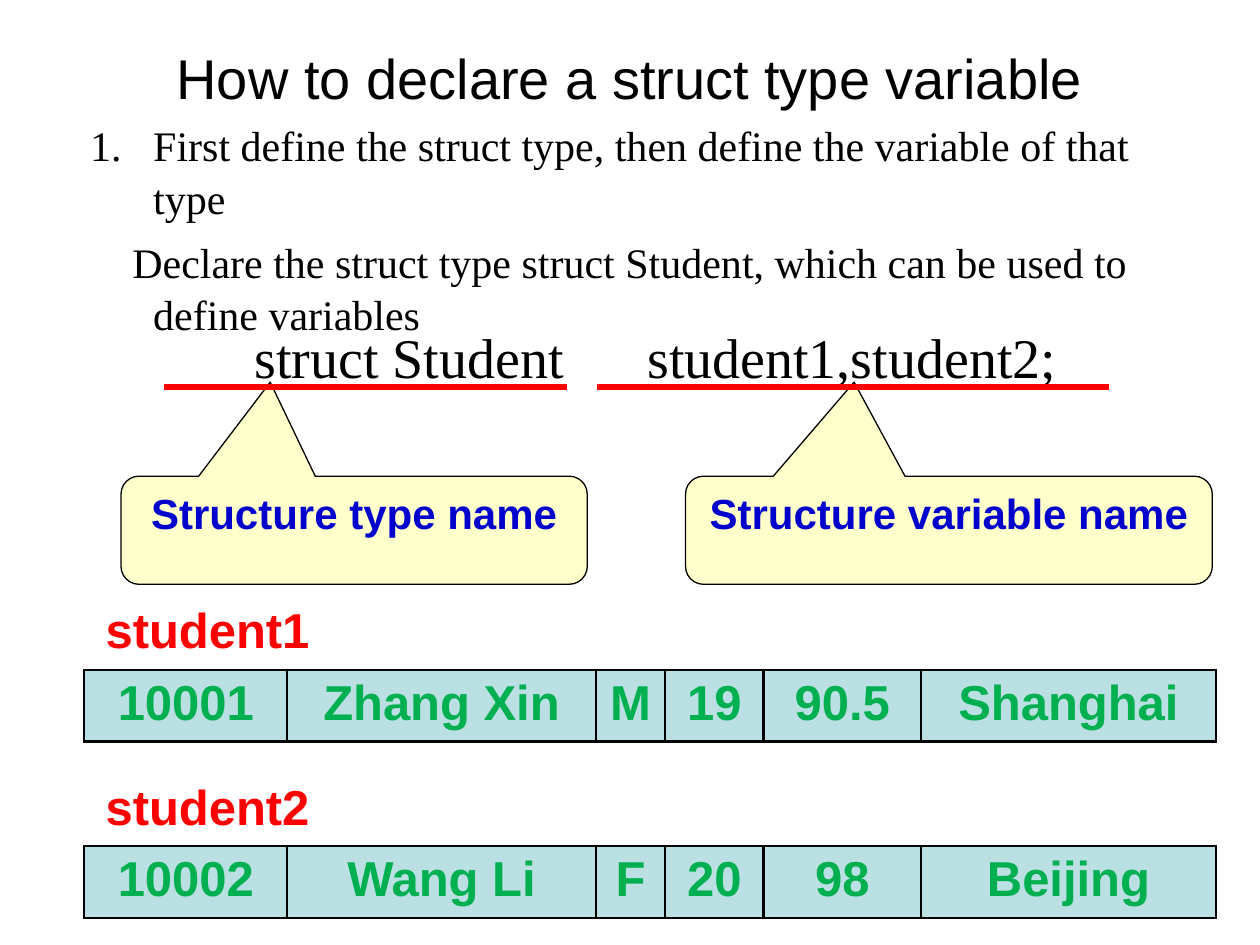
from lxml import etree
from pptx import Presentation
from pptx.dml.color import RGBColor
from pptx.enum.shapes import MSO_CONNECTOR, MSO_SHAPE
from pptx.enum.text import MSO_ANCHOR, MSO_AUTO_SIZE, PP_ALIGN
from pptx.oxml.ns import qn
from pptx.util import Cm, Pt

BLACK = RGBColor(0x00, 0x00, 0x00)
RED = RGBColor(0xFF, 0x00, 0x00)
BLUE = RGBColor(0x00, 0x00, 0xCC)
GREEN = RGBColor(0x00, 0xB0, 0x50)
CREAM = RGBColor(0xFF, 0xFF, 0xCC)
PALE_TEAL = RGBColor(0xBB, 0xE0, 0xE3)
SANS, SERIF = "Arial", "Times New Roman"

# Content; all lengths in centimetres
TITLE = "How to declare a struct type variable"
# (text, first-line indent, numbered)
STEPS = [
    ("First define the struct type, then define the variable of that type", -1.27, True),
    ("Declare the struct type struct Student, which can be used to define variables", -0.42, False),
]
DECLARATION = "struct Student\tstudent1,student2;"
# (text, left, width)
CALLOUTS = [("Structure type name", 2.44, 9.4), ("Structure variable name", 13.82, 10.62)]
# (start, end)
UNDERLINES = [(3.3, 11.43), (12.04, 22.35)]
# (variable, label top, member values)
RECORDS = [
    ("student1", 11.91, ["10001", "Zhang Xin", "M", "19", "90.5", "Shanghai"]),
    ("student2", 15.47, ["10002", "Wang Li", "F", "20", "98", "Beijing"]),
]
COLUMN_WIDTHS = [4.09, 6.22, 1.4, 1.98, 3.18, 5.94]
ROW_HEIGHT = 1.45
LABEL_TO_TABLE = 1.59


def style(paragraph, size, name, color, bold=False):
    font = paragraph.font
    font.size, font.name, font.bold = Pt(size), name, bold
    font.color.rgb = color


def add_text(slide, box, texts, size, name, color, bold=False, space_before=0):
    shape = slide.shapes.add_textbox(*map(Cm, box))
    frame = shape.text_frame
    frame.word_wrap = True
    frame.text = "\n".join(texts)
    for paragraph in frame.paragraphs:
        style(paragraph, size, name, color, bold)
        paragraph.space_before = Pt(space_before)
        paragraph.line_spacing = 1.05
    return frame.paragraphs


def add_callout(slide, text, left, width):
    shape = slide.shapes.add_shape(
        MSO_SHAPE.ROUNDED_RECTANGULAR_CALLOUT, Cm(left), Cm(9.6), Cm(width), Cm(2.18))
    shape.adjustments[0], shape.adjustments[1] = -0.18, -1.37
    shape.shadow.inherit = False
    shape.fill.solid()
    shape.fill.fore_color.rgb = CREAM
    shape.line.color.rgb = BLACK
    shape.line.width = Pt(0.75)
    frame = shape.text_frame
    frame.word_wrap = False
    frame.vertical_anchor = MSO_ANCHOR.TOP
    paragraph = frame.paragraphs[0]
    paragraph.text = text
    paragraph.alignment = PP_ALIGN.CENTER
    style(paragraph, 24, SANS, BLUE, True)


def add_underline(slide, start, end):
    line = slide.shapes.add_connector(
        MSO_CONNECTOR.STRAIGHT, Cm(start), Cm(7.8), Cm(end), Cm(7.8))
    line.line.color.rgb = RED
    line.line.width = Pt(3)
    etree.SubElement(line._element.spPr, qn("a:effectLst"))


def set_borders(cell):
    properties = cell._tc.get_or_add_tcPr()
    for position, side in enumerate(("lnL", "lnR", "lnT", "lnB")):
        border = etree.Element(qn(f"a:{side}"), w=str(Pt(1.47)))
        fill = etree.SubElement(border, qn("a:solidFill"))
        etree.SubElement(fill, qn("a:srgbClr"), val=str(BLACK))
        properties.insert(position, border)


def add_record(slide, top, values):
    table = slide.shapes.add_table(
        1, len(values), Cm(1.7), Cm(top), Cm(sum(COLUMN_WIDTHS)), Cm(ROW_HEIGHT)).table
    table.first_row = table.horz_banding = False
    for index, (value, width) in enumerate(zip(values, COLUMN_WIDTHS)):
        table.columns[index].width = Cm(width)
        cell = table.cell(0, index)
        cell.text = value
        cell.fill.solid()
        cell.fill.fore_color.rgb = PALE_TEAL
        set_borders(cell)
        paragraph = cell.text_frame.paragraphs[0]
        paragraph.alignment = PP_ALIGN.CENTER
        style(paragraph, 28, SANS, GREEN, True)


def main():
    presentation = Presentation()
    presentation.slide_width, presentation.slide_height = Cm(25.4), Cm(19.05)
    slide = presentation.slides.add_slide(presentation.slide_layouts[5])

    # Title
    title = slide.shapes.title
    title.left, title.top, title.width, title.height = map(Cm, (1.27, 0.76, 22.86, 1.57))
    frame = title.text_frame
    frame.text = TITLE
    frame.auto_size = MSO_AUTO_SIZE.NONE
    frame.vertical_anchor = MSO_ANCHOR.MIDDLE
    frame.paragraphs[0].alignment = PP_ALIGN.CENTER
    style(frame.paragraphs[0], 32, SANS, BLACK)

    # Explanation
    paragraphs = add_text(slide, (1.57, 2.24, 21.56, 4.88), [step[0] for step in STEPS],
                          24, SERIF, BLACK, space_before=6)
    for paragraph, (_, indent, numbered) in zip(paragraphs, STEPS):
        properties = paragraph._p.get_or_add_pPr()
        properties.set("marL", str(Cm(1.27)))
        properties.set("indent", str(Cm(indent)))
        if numbered:
            etree.SubElement(properties, qn("a:buFont"), typeface=SERIF)
            bullet = etree.SubElement(properties, qn("a:buAutoNum"), type="arabicPeriod")
            properties.remove(properties.defRPr)
            bullet.addnext(etree.Element(qn("a:defRPr")))
            style(paragraph, 24, SERIF, BLACK)

    # Declaration, with a tab stop between type and variables
    declaration = add_text(slide, (4.88, 6.32, 17.98, 2.31), [DECLARATION],
                           32, SERIF, BLACK, space_before=8)[0]
    tabs = etree.Element(qn("a:tabLst"))
    etree.SubElement(tabs, qn("a:tab"), pos=str(Cm(7.92)), algn="l")
    declaration._p.pPr.defRPr.addprevious(tabs)

    # Callouts and underlines
    for callout in CALLOUTS:
        add_callout(slide, *callout)
    for underline in UNDERLINES:
        add_underline(slide, *underline)

    # Records with their variable names
    for variable, top, values in RECORDS:
        add_record(slide, top + LABEL_TO_TABLE, values)
        add_text(slide, (1.88, top, 5.94, ROW_HEIGHT), [variable], 28, SANS, RED, True)

    presentation.save("out.pptx")


if __name__ == "__main__":
    main()
